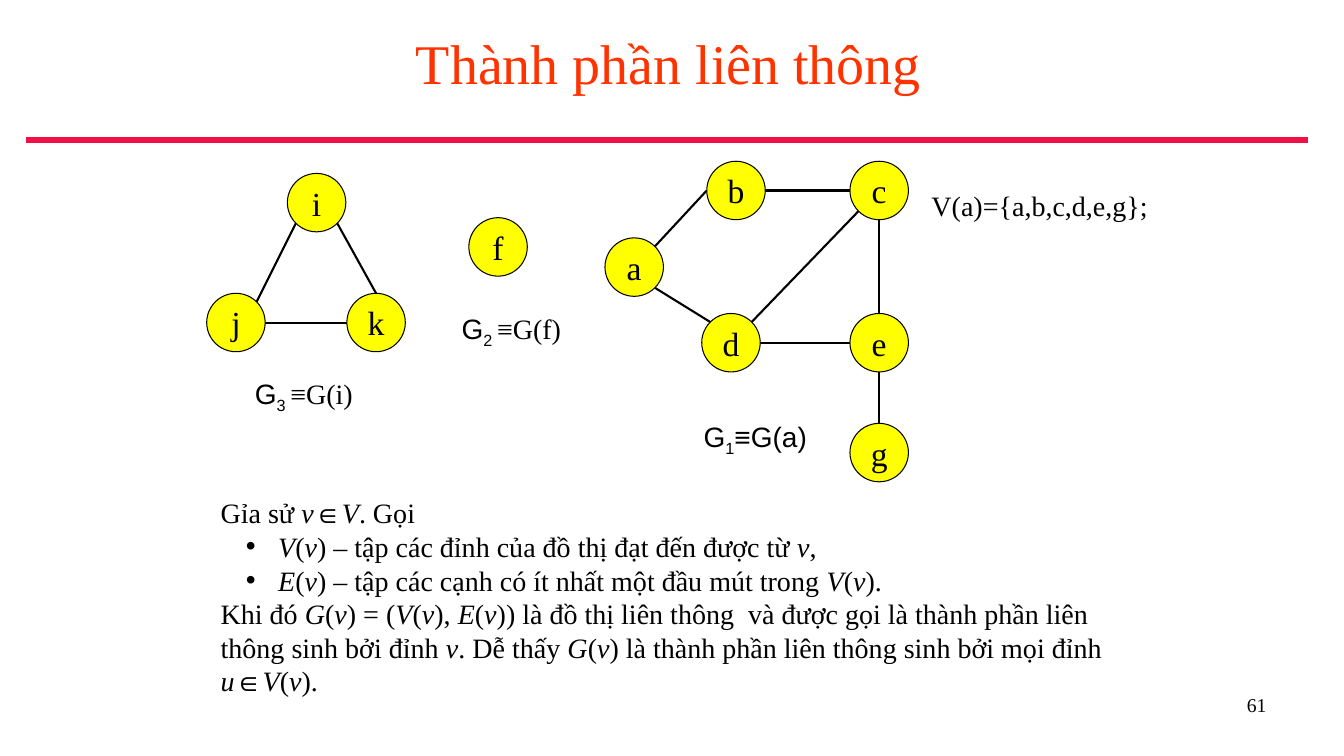
from lxml.etree import SubElement
from pptx import Presentation
from pptx.dml.color import RGBColor
from pptx.enum.shapes import MSO_CONNECTOR, MSO_SHAPE
from pptx.enum.text import MSO_ANCHOR, PP_ALIGN
from pptx.oxml.ns import qn
from pptx.util import Inches, Pt

COLORS = {"title": "FF3300", "rule": "F01045", "node": "FFFF00", "ink": "000000"}
SERIF, SANS = "Times New Roman", "Arial"
DIAMETER = 0.58
DIAGONAL = 0.5 ** 0.5

# Left and top of each vertex
NODES = {
    "a": (6, 2.36), "b": (7.01, 1.6), "c": (8.43, 1.6), "d": (6.96, 3.11),
    "e": (8.43, 3.11), "g": (8.43, 4.2), "f": (4.65, 2.16),
    "i": (2.85, 1.72), "j": (2.05, 2.91), "k": (3.44, 2.91),
}
DIRECTIONS = {
    "N": (0, -1), "S": (0, 1), "W": (-1, 0), "E": (1, 0),
    "NW": (-DIAGONAL, -DIAGONAL), "NE": (DIAGONAL, -DIAGONAL),
    "SW": (-DIAGONAL, DIAGONAL), "SE": (DIAGONAL, DIAGONAL),
}
# Vertex and side where each edge starts and ends
EDGES = [
    ("a", "NE", "b", "W"), ("a", "SE", "d", "NW"), ("b", "E", "c", "W"),
    ("c", "SW", "d", "NE"), ("c", "S", "e", "N"), ("d", "E", "e", "W"),
    ("e", "S", "g", "N"), ("i", "SW", "j", "NE"), ("i", "SE", "k", "N"),
    ("j", "E", "k", "W"),
]
# Asterisks enclose italics
DEFINITION = [
    (False, "Gỉa sử *v*∈*V*. Gọi"),
    (True, "*V*(*v*) – tập các đỉnh của đồ thị đạt đến được từ *v*,"),
    (True, "*E*(*v*) – tập các cạnh có ít nhất một đầu mút trong *V*(*v*)."),
    (False, "Khi đó *G*(*v*) = (*V*(*v*), *E*(*v*)) là đồ thị liên thông  và được gọi "
            "là thành phần liên thông sinh bởi đỉnh *v*. Dễ thấy *G*(*v*) là thành "
            "phần liên thông sinh bởi mọi đỉnh *u*∈*V*(*v*)."),
]


def color(name):
    return RGBColor.from_string(COLORS[name])


def set_font(font, size, name=SERIF, ink="ink"):
    font.size, font.name = Pt(size), name
    font.color.rgb = color(ink)


def add_title(slide, text):
    title = slide.shapes.title
    title.left, title.top = Inches(0.26), Inches(0)
    title.width, title.height = Inches(12.74), Inches(1.23)
    title.text_frame.text = text
    title.text_frame.vertical_anchor = MSO_ANCHOR.MIDDLE
    paragraph = title.text_frame.paragraphs[0]
    paragraph.alignment = PP_ALIGN.CENTER
    set_font(paragraph.font, 40, ink="title")


def add_line(slide, start, end, width, ink="ink"):
    points = [Inches(value) for value in (*start, *end)]
    line = slide.shapes.add_connector(MSO_CONNECTOR.STRAIGHT, *points)
    line.line.color.rgb = color(ink)
    line.line.width = Pt(width)
    SubElement(line._element.spPr, qn("a:effectLst"))


def rim_point(node, side):
    """Return the point on a vertex's circle in a compass direction."""
    radius = DIAMETER / 2
    return [corner + radius * (1 + step)
            for corner, step in zip(NODES[node], DIRECTIONS[side])]


def add_node(slide, name, left, top):
    node = slide.shapes.add_shape(MSO_SHAPE.OVAL, Inches(left), Inches(top),
                                  Inches(DIAMETER), Inches(DIAMETER))
    node.shadow.inherit = False
    node.fill.solid()
    node.fill.fore_color.rgb = color("node")
    node.line.color.rgb = color("ink")
    node.line.width = Pt(0.75)
    frame = node.text_frame
    frame.word_wrap = False
    frame.vertical_anchor = MSO_ANCHOR.MIDDLE
    paragraph = frame.paragraphs[0]
    paragraph.text = name
    paragraph.alignment = PP_ALIGN.CENTER
    set_font(paragraph.font, 24)


def add_text_frame(slide, left, top, width, height):
    box = slide.shapes.add_textbox(Inches(left), Inches(top), Inches(width), Inches(height))
    box.text_frame.word_wrap = True
    return box.text_frame


def add_text(slide, place, text, size, alignment=PP_ALIGN.LEFT):
    paragraph = add_text_frame(slide, *place).paragraphs[0]
    paragraph.text = text
    paragraph.alignment = alignment
    set_font(paragraph.font, size)


def add_component_label(slide, place, index, equality, font_name):
    """Write G with a subscript index, then what it equals."""
    paragraph = add_text_frame(slide, *place).paragraphs[0]
    for text, name in (("G", SANS), (index, SANS), (equality, font_name)):
        run = paragraph.add_run()
        run.text = text
        set_font(run.font, 20, name)
    paragraph.runs[1].font._element.set("baseline", "-25000")


def add_bullet(paragraph):
    properties = paragraph._p.get_or_add_pPr()
    properties.set("marL", str(Inches(0.57)))
    properties.set("indent", str(Inches(-0.32)))
    SubElement(properties, qn("a:buFont"), typeface=SANS)
    SubElement(properties, qn("a:buChar"), char="•")


def add_definition(slide):
    frame = add_text_frame(slide, 2.09, 4.87, 9.16, 2.1)
    for number, (bulleted, text) in enumerate(DEFINITION):
        paragraph = frame.add_paragraph() if number else frame.paragraphs[0]
        if bulleted:
            add_bullet(paragraph)
            paragraph.level = 1
        paragraph.line_spacing = Pt(24)
        set_font(paragraph.font, 20)
        for position, part in enumerate(text.split("*")):
            if part:
                run = paragraph.add_run()
                run.text = part
                run.font.italic = position % 2 == 1


def main():
    presentation = Presentation()
    presentation.slide_width, presentation.slide_height = Inches(13.33), Inches(7.5)
    slide = presentation.slides.add_slide(presentation.slide_layouts[5])

    add_title(slide, "Thành phần liên thông")
    add_line(slide, (0.26, 1.39), (12.97, 1.39), 4.5, "rule")
    for start, start_side, end, end_side in EDGES:
        add_line(slide, rim_point(start, start_side), rim_point(end, end_side), 1.5)
    for name, (left, top) in NODES.items():
        add_node(slide, name, left, top)

    add_component_label(slide, (6.88, 4.11, 1.3, 0.43), "1", "≡G(a)", SANS)
    add_component_label(slide, (4.48, 3.04, 1.39, 0.43), "2 ", "≡G(f)", SERIF)
    add_component_label(slide, (2.43, 3.69, 1.26, 0.43), "3 ", "≡G(i)", SERIF)
    add_text(slide, (9.14, 1.82, 2.39, 0.43), "V(a)={a,b,c,d,e,g};", 20)
    add_definition(slide)
    add_text(slide, (9.55, 6.82, 3.11, 0.52), "61", 14, PP_ALIGN.RIGHT)
    presentation.save("out.pptx")


if __name__ == "__main__":
    main()
